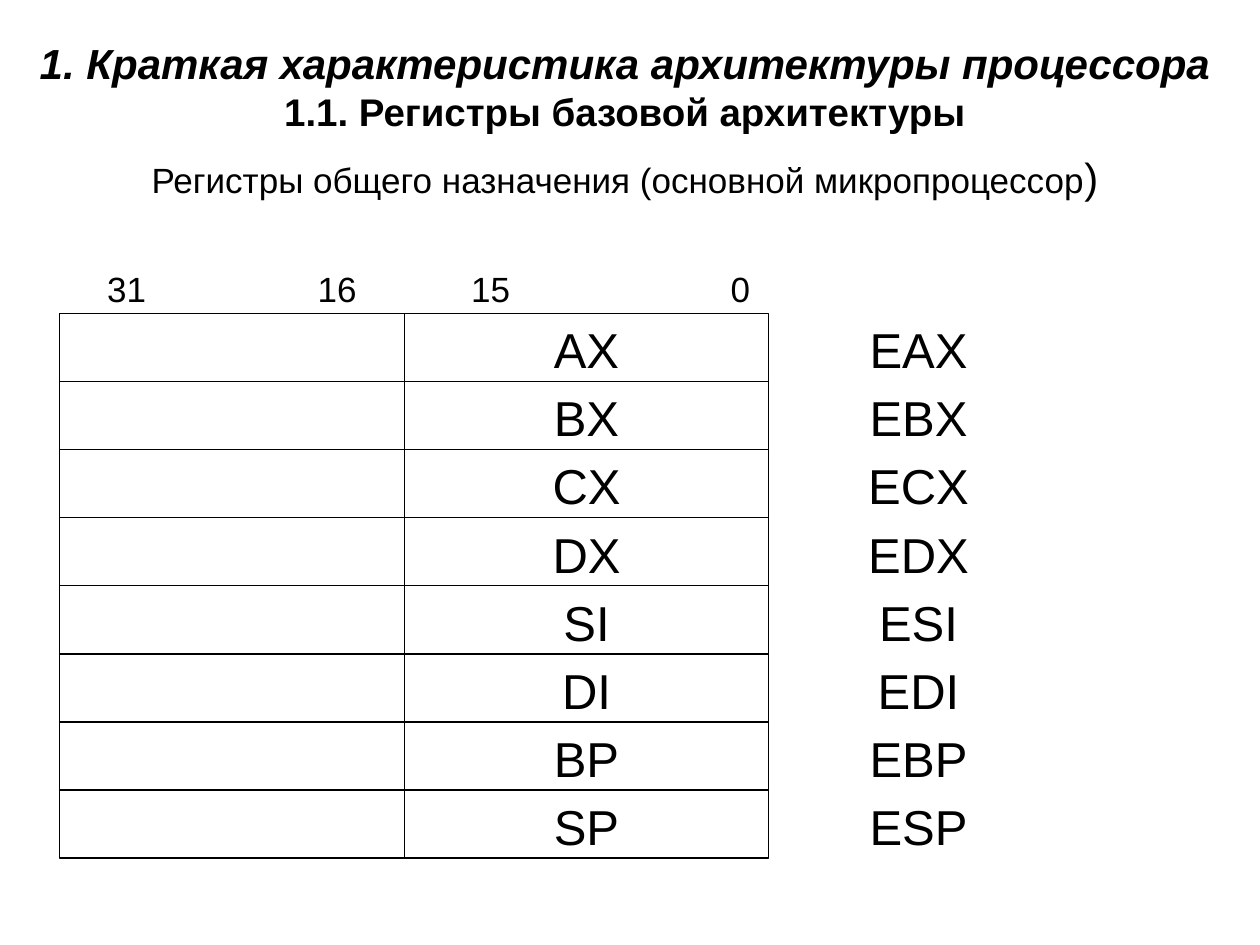
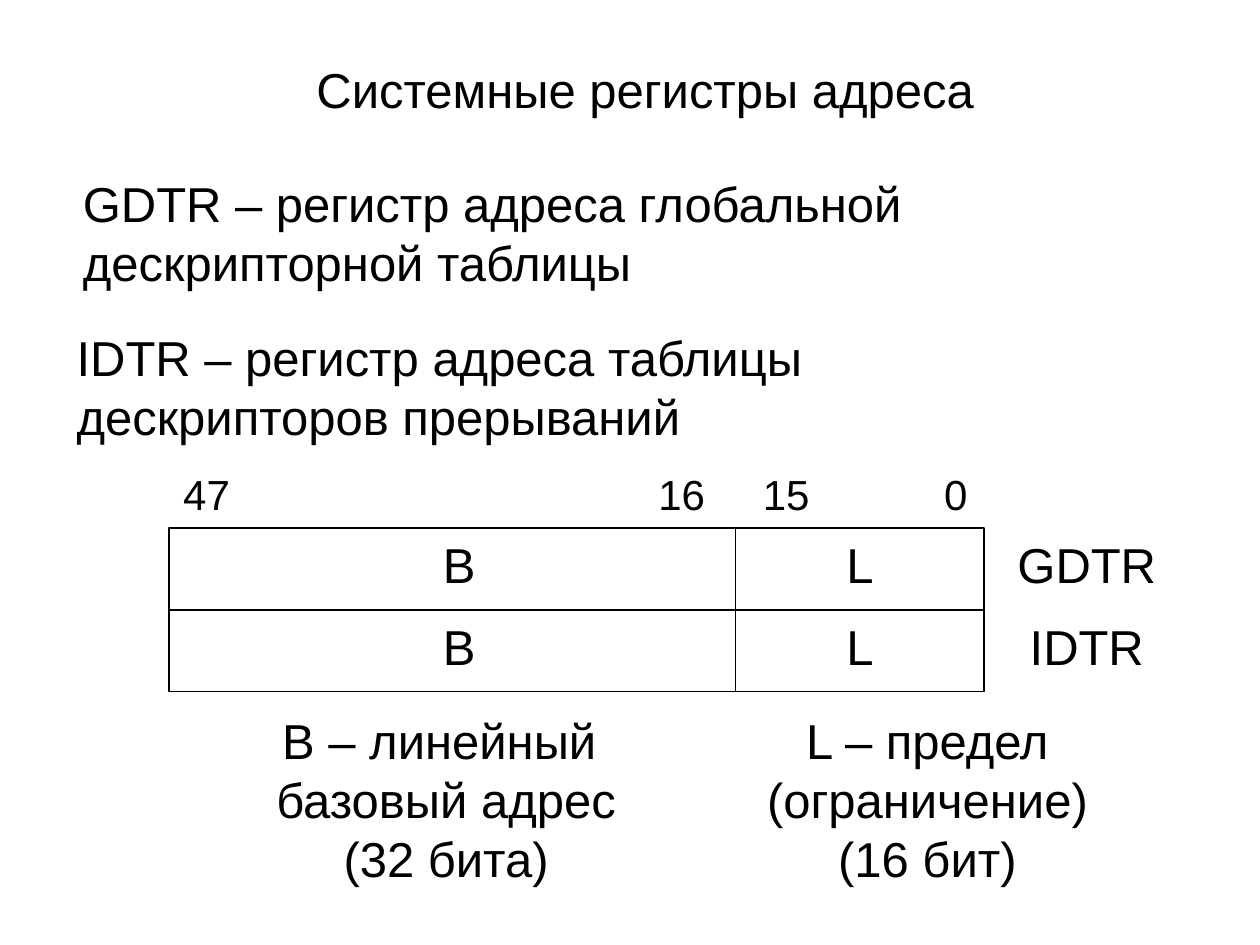
from pptx import Presentation
from pptx.dml.color import RGBColor
from pptx.enum.shapes import MSO_SHAPE
from pptx.enum.text import MSO_ANCHOR, MSO_AUTO_SIZE, PP_ALIGN
from pptx.util import Inches, Pt

COLORS = {"ink": "000000", "paper": "FFFFFF"}
FRAME = {
    "word_wrap": True,
    "auto_size": MSO_AUTO_SIZE.NONE,
    "vertical_anchor": MSO_ANCHOR.TOP,
    "margin_left": Inches(0.1),
    "margin_right": Inches(0.1),
    "margin_top": Inches(0.05),
    "margin_bottom": Inches(0.05),
}
FONT = {"name": "Arial", "size": 28, "bold": False, "italic": False}


def apply(item, values):
    for name, value in values.items():
        setattr(item, name, value)


class Deck:
    def __init__(self):
        self.prs = Presentation()
        self.prs.slide_width = Inches(10)
        self.prs.slide_height = Inches(7.5)
        self.slide = None

    def color(self, name):
        return RGBColor.from_string(COLORS[name])

    def page(self):
        self.slide = self.prs.slides.add_slide(self.prs.slide_layouts[5])

    def piece(self, para, text, style):
        for i, line in enumerate(text.split("\n")):
            if i:
                para.add_line_break()
            run = para.add_run()
            run.text = line
            values = {**FONT, **style}
            values["size"] = Pt(values["size"])
            apply(run.font, values)
            run.font.color.rgb = self.color("ink")

    def label(self, shape, paras, align=PP_ALIGN.CENTER, **style):
        frame = shape.text_frame
        apply(frame, FRAME)
        for i, runs in enumerate(paras):
            para = frame.add_paragraph() if i else frame.paragraphs[0]
            para.alignment = align
            for text, extra in runs:
                self.piece(para, text, {**style, **extra})

    def title(self, box, *paras):
        shape = self.slide.shapes.title
        names = ("left", "top", "width", "height")
        apply(shape, dict(zip(names, map(Inches, box))))
        self.label(shape, paras)

    def text(self, box, *lines, **style):
        shape = self.slide.shapes.add_textbox(*map(Inches, box))
        paras = [[(line, {})] if isinstance(line, str) else line for line in lines]
        self.label(shape, paras, **style)

    def cell(self, box, text):
        shape = self.slide.shapes.add_shape(MSO_SHAPE.RECTANGLE, *map(Inches, box))
        shape.shadow.inherit = False
        shape.fill.solid()
        shape.fill.fore_color.rgb = self.color("paper")
        shape.line.color.rgb = self.color("ink")
        shape.line.width = Pt(0.75)
        if text:
            self.label(shape, [[(text, {})]])

    def grid(self, top, step, cols, side, rows):
        for i, (high, low, name) in enumerate(rows):
            y = top + i * step
            for (left, width), text in zip(cols, (high, low)):
                self.cell((left, y, width, step), text)
            left, width = side
            self.text((left, y, width, step - 0.04), name)

    def bits(self, top, height, size, marks):
        for text, left, width in marks:
            self.text((left, top, width, height), text, size=size)


def general(deck):
    deck.page()
    deck.title(
        (0.17, 0.25, 9.58, 0.9),
        [("1. Краткая характеристика архитектуры процессора",
          {"size": 24, "bold": True, "italic": True})],
        [("1.1. Регистры базовой архитектуры", {"size": 22, "bold": True})],
    )
    deck.text(
        (0.17, 1.15, 9.58, 0.9),
        [("Регистры общего назначения (основной микропроцессор", {"size": 20}),
         (")", {"size": 24})],
    )
    names = ("АХ", "BХ", "CХ", "DХ", "SI", "DI", "BP", "SP")
    deck.grid(2.49, 0.54, ((0.47, 2.89), (3.21, 2.89)), (5.64, 3.3),
              [("", name, "Е" + name) for name in names])
    deck.bits(2.07, 0.5, 20, (("31", 0.17, 1.67), ("16", 1.84, 1.67),
                              ("15", 3.06, 1.67), ("0", 5.19, 1.37)))


def system(deck):
    deck.page()
    deck.title((0.56, 0.42, 9.12, 0.76), [("Системные регистры адреса", {})])
    deck.text((0.56, 1.33, 9.12, 1.12),
              "GDTR – регистр адреса глобальной \nдескрипторной таблицы",
              align=PP_ALIGN.LEFT)
    deck.text((0.51, 2.55, 9.12, 1.12),
              "IDTR – регистр адреса таблицы \nдескрипторов прерываний",
              align=PP_ALIGN.LEFT)
    deck.grid(4.19, 0.65, ((1.34, 4.61), (5.84, 1.97)), (7.5, 2.25),
              [("B", "L", name) for name in ("GDTR", "IDTR")])
    deck.bits(3.67, 0.6, 24, (("47", 1.07, 1.14), ("16", 4.84, 1.14),
                              ("15", 5.67, 1.14), ("0", 7.12, 0.93)))
    deck.text((1.32, 5.59, 4.44, 1.57), "B – линейный \nбазовый адрес", "(32 бита)")
    deck.text((5.5, 5.59, 3.72, 1.57), "L – предел\n(ограничение)", "(16 бит)")


def main():
    deck = Deck()
    general(deck)
    system(deck)
    deck.prs.save("out.pptx")


if __name__ == "__main__":
    main()
